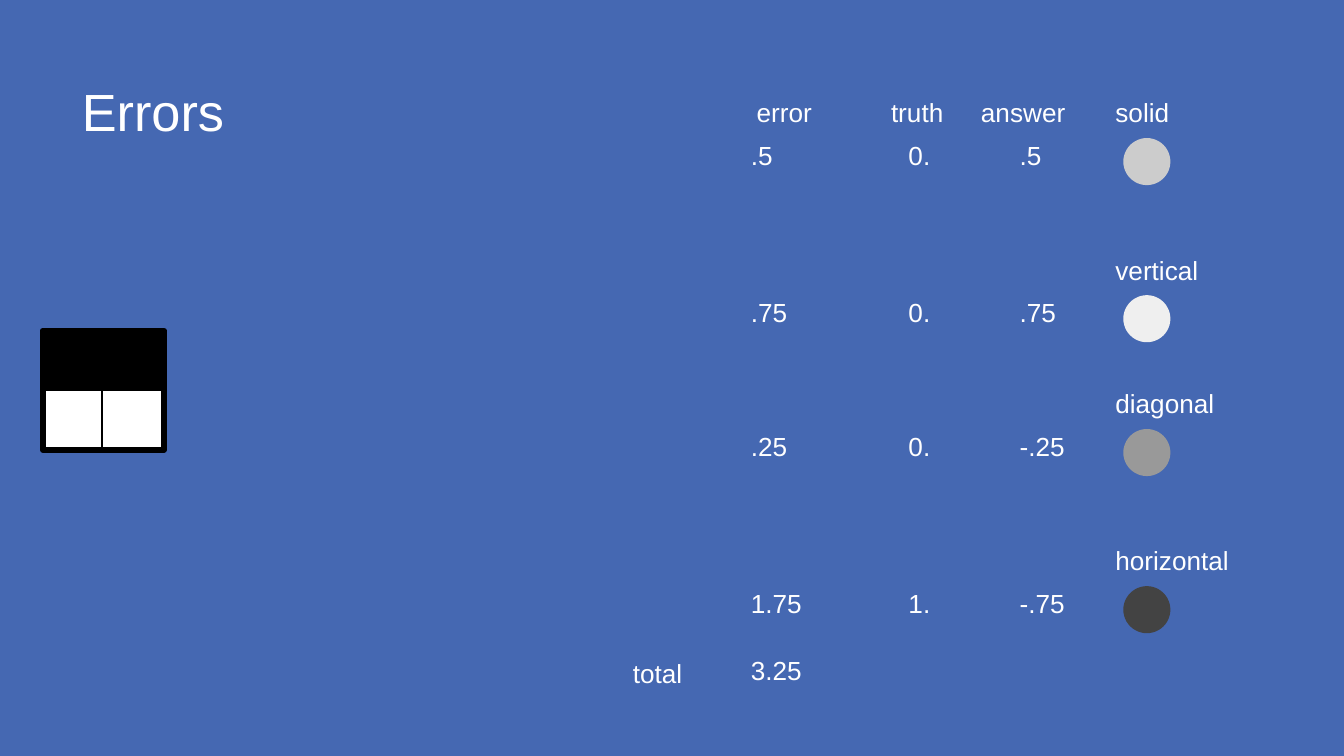
"""Build the Errors slide: a 2 x 2 pattern and the error of each class."""
import pptx
import pptx.dml.color
import pptx.enum.shapes
import pptx.util

Cm, Pt = pptx.util.Cm, pptx.util.Pt
RGB = pptx.dml.color.RGBColor.from_string
MSO = pptx.enum.shapes.MSO_SHAPE
COLORS = {"back": "4568B2", "white": "FFFFFF", "black": "000000",
          "solid": "CCCCCC", "vertical": "EFEFEF",
          "diagonal": "999999", "horizontal": "434343"}


class Deck:
    def __init__(self):
        self.prs = pptx.Presentation()
        self.prs.slide_width, self.prs.slide_height = Cm(25.4), Cm(14.29)
        self.frame = {"word_wrap": True}
        for side in ("left", "top", "right", "bottom"):
            self.frame["margin_" + side] = Cm(0.25)

    def add_slide(self):
        self.s = self.prs.slides.add_slide(self.prs.slide_layouts[6])
        fill = self.s.background.fill
        fill.solid()
        fill.fore_color.rgb = RGB(COLORS["back"])

    def text(self, text, x, y, w=2.72, h=1.02, size=14):
        tf = self.s.shapes.add_textbox(Cm(x), Cm(y), Cm(w), Cm(h)).text_frame
        for name, value in self.frame.items():
            setattr(tf, name, value)
        r = tf.paragraphs[0].add_run()
        r.text = text
        for name, value in {"name": "Arial", "size": Pt(size)}.items():
            setattr(r.font, name, value)
        r.font.color.rgb = RGB(COLORS["white"])

    def shape(self, kind, x, y, w, h, fill=None, line=None):
        sp = self.s.shapes.add_shape(kind, Cm(x), Cm(y), Cm(w), Cm(h))
        sp.shadow.inherit = False
        if fill:
            sp.fill.solid()
            sp.fill.fore_color.rgb = RGB(COLORS[fill])
        else:
            sp.fill.background()
        if line:
            sp.line.color.rgb = RGB(COLORS["black"])
            sp.line.width = Pt(line)
        else:
            sp.line.fill.background()


deck = Deck()
deck.add_slide()
deck.text("Errors", 1.3, 1.24, 4.7, 1.6, size=28)

cell, left, top = 1.12, 0.81, 6.25
for row, color in enumerate(("black", "white")):
    for col in range(2):
        deck.shape(MSO.RECTANGLE, left + col * cell, top + row * cell,
                   cell, cell, color, 0.75)
deck.shape(MSO.RECTANGLE, left, top, 2.29, 2.26, line=3)

header_y, value_drop = 1.58, 0.8
for header, x in (("error", 14.05), ("truth", 16.59), ("answer", 18.29)):
    deck.text(header, x, header_y, 2.29, 1.24)

columns = (13.94, 16.92, 19.02)
classes = (("solid", header_y, (".5", "0.", ".5")),
           ("vertical", 4.55, (".75", "0.", ".75")),
           ("diagonal", 7.08, (".25", "0.", "-.25")),
           ("horizontal", 10.05, ("1.75", "1.", "-.75")))
for label, y, values in classes:
    deck.text(label, 20.83, y, 2.8, 1.24)
    deck.shape(MSO.OVAL, 21.23, y + 1.03, 0.89, 0.89, label)
    for x, value in zip(columns, values):
        deck.text(value, x, y + value_drop)

deck.text("total", 11.71, 12.17, 2.29, 1.24)
deck.text("3.25", columns[0], 12.12)
deck.prs.save("out.pptx")
